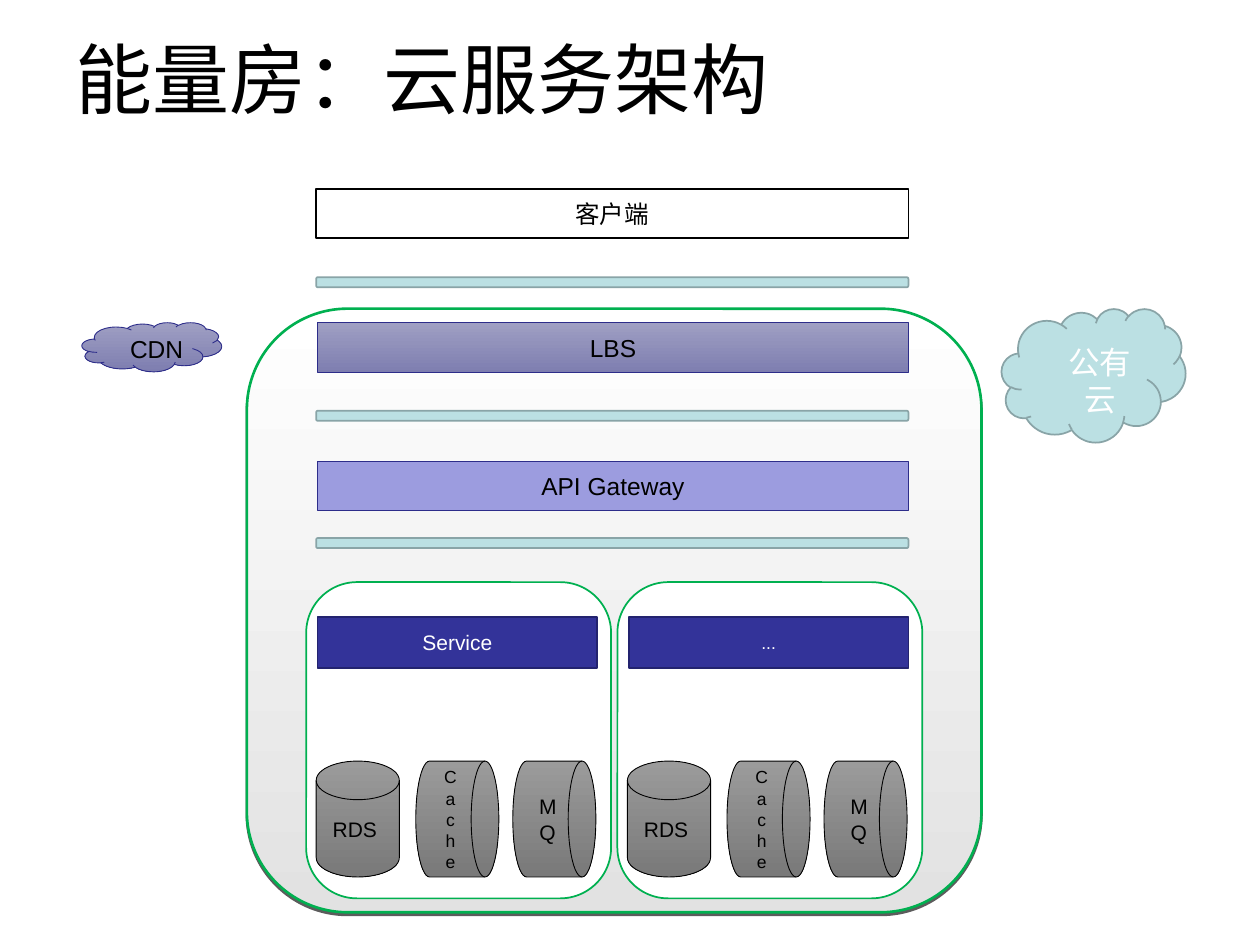
from dataclasses import dataclass
from typing import Optional

from lxml import etree
from pptx import Presentation
from pptx.dml.color import RGBColor
from pptx.enum.shapes import MSO_SHAPE
from pptx.enum.text import MSO_ANCHOR, MSO_AUTO_SIZE, PP_ALIGN
from pptx.oxml.ns import qn
from pptx.util import Inches, Pt

PROCESS = MSO_SHAPE.FLOWCHART_PROCESS
ROUNDED = MSO_SHAPE.ROUNDED_RECTANGLE
PLATFORM = MSO_SHAPE.FLOWCHART_ALTERNATE_PROCESS
DISK = MSO_SHAPE.FLOWCHART_MAGNETIC_DISK
DRUM = MSO_SHAPE.FLOWCHART_DIRECT_ACCESS_STORAGE
CLOUD = MSO_SHAPE.CLOUD
CENTER = PP_ALIGN.CENTER
LEFT = PP_ALIGN.LEFT
MIDDLE = MSO_ANCHOR.MIDDLE
NO_AUTOFIT = MSO_AUTO_SIZE.NONE

BLACK = RGBColor(0x00, 0x00, 0x00)
WHITE = RGBColor(0xFF, 0xFF, 0xFF)
SILVER = RGBColor(0xE2, 0xE2, 0xE2)
GREEN = RGBColor(0x00, 0xB0, 0x50)
NAVY = RGBColor(0x33, 0x33, 0x99)
DARK_NAVY = RGBColor(0x23, 0x23, 0x6F)
INDIGO = RGBColor(0x2D, 0x2D, 0x8A)
LAVENDER = RGBColor(0x9C, 0x9C, 0xDF)
LIGHT_SLATE = RGBColor(0x9F, 0x9F, 0xC3)
SLATE = RGBColor(0x7E, 0x7E, 0xB0)
LIGHT_GRAY = RGBColor(0x9B, 0x9B, 0x9B)
GRAY = RGBColor(0x79, 0x79, 0x79)
AQUA = RGBColor(0xBB, 0xE0, 0xE3)
TEAL = RGBColor(0x89, 0xA4, 0xA7)

FONT = "Arial"
CLUSTER_STEP = 2.47


@dataclass(frozen=True)
class Style:
    top_color: RGBColor
    line_color: RGBColor
    line_width: float
    text_color: RGBColor = BLACK
    bottom_color: Optional[RGBColor] = None


@dataclass(frozen=True)
class Node:
    kind: int
    left: float
    top: float
    width: float
    height: float
    style: Style
    text: str = ""
    size: float = 14


PLATFORM_STYLE = Style(WHITE, GREEN, 1.5, bottom_color=SILVER)
FRAME_STYLE = Style(WHITE, GREEN, 1)
CLIENT_STYLE = Style(WHITE, BLACK, 1)
BUS_STYLE = Style(AQUA, TEAL, 1, WHITE)
BALANCER_STYLE = Style(LIGHT_SLATE, INDIGO, 0.5, bottom_color=SLATE)
GATEWAY_STYLE = Style(LAVENDER, INDIGO, 0.5)
SERVICE_STYLE = Style(NAVY, DARK_NAVY, 1, WHITE)
STORE_STYLE = Style(LIGHT_GRAY, BLACK, 0.5, bottom_color=GRAY)

LAYERS = [
    Node(PROCESS, 2.51, 1.5, 4.7, 0.39, CLIENT_STYLE, "客户端"),
    Node(PROCESS, 2.52, 2.56, 4.69, 0.4, BALANCER_STYLE, "LBS"),
    Node(PROCESS, 2.52, 3.66, 4.69, 0.39, GATEWAY_STYLE, "API Gateway"),
]
BUSES = [Node(ROUNDED, 2.51, top, 4.7, 0.08, BUS_STYLE) for top in (2.2, 3.26, 4.27)]
CLOUDS = [
    Node(CLOUD, 7.95, 2.45, 1.46, 1.06, BUS_STYLE, "公有云", 18),
    Node(CLOUD, 0.65, 2.56, 1.11, 0.39, BALANCER_STYLE, "CDN"),
]


def cluster(index: int, name: str, size: float) -> list[Node]:
    shift = index * CLUSTER_STEP
    stores = [(DISK, 2.51, "RDS ", 12), (DRUM, 3.3, "Cache", 10), (DRUM, 4.07, "MQ", 12)]
    return [
        Node(ROUNDED, 2.43 + shift, 4.62, 2.42, 2.51, FRAME_STYLE),
        Node(PROCESS, 2.52 + shift, 4.9, 2.22, 0.4, SERVICE_STYLE, name, size),
    ] + [
        Node(kind, left + shift, 6.04, 0.66, 0.92, STORE_STYLE, text, text_size)
        for kind, left, text, text_size in stores
    ]


def draw_node(page, node: Node):
    box = page.shapes.add_shape(
        node.kind, Inches(node.left), Inches(node.top), Inches(node.width), Inches(node.height)
    )
    style = node.style
    if style.bottom_color is None:
        box.fill.solid()
        box.fill.fore_color.rgb = style.top_color
    else:
        box.fill.gradient()
        box.fill.gradient_angle = 270
        for stop, position, color in zip(
            box.fill.gradient_stops, (0, 1), (style.top_color, style.bottom_color)
        ):
            stop.position = position
            stop.color.rgb = color
    box.line.color.rgb = style.line_color
    box.line.width = Pt(style.line_width)
    box.shadow.inherit = False
    if node.text:
        frame = box.text_frame
        frame.vertical_anchor = MIDDLE
        if node.kind == CLOUD:
            frame.margin_left = Inches(0.14 * node.width)
            frame.margin_top = Inches(0.12 * node.height)
            frame.margin_right = frame.margin_bottom = 0
        para = frame.paragraphs[0]
        para.text = node.text
        para.alignment = CENTER
        para.font.name = FONT
        para.font.size = Pt(node.size)
        para.font.color.rgb = style.text_color
    return box


def add_drop_shadow(box, distance: float, opacity: int) -> None:
    effects = box._element.spPr.find(qn("a:effectLst"))
    shadow = etree.SubElement(
        effects, qn("a:outerShdw"), blurRad="0", dist=str(Pt(distance)), dir="5400000", rotWithShape="0"
    )
    color = etree.SubElement(shadow, qn("a:srgbClr"), val=str(BLACK))
    etree.SubElement(color, qn("a:alpha"), val=str(opacity * 1000))


def draw_title(page, text: str) -> None:
    title = page.shapes.title
    title.left, title.top = Inches(0.5), Inches(-0.01)
    title.width, title.height = Inches(9), Inches(1.25)
    frame = title.text_frame
    frame.auto_size = NO_AUTOFIT
    frame.vertical_anchor = MIDDLE
    para = frame.paragraphs[0]
    para.text = text
    para.alignment = LEFT
    para.font.name = FONT
    para.font.size = Pt(44)
    para.font.color.rgb = BLACK


def main() -> None:
    deck = Presentation()
    deck.slide_width, deck.slide_height = Inches(10), Inches(7.5)
    page = deck.slides.add_slide(deck.slide_layouts[5])
    draw_title(page, "能量房：云服务架构")
    platform = draw_node(page, Node(PLATFORM, 1.96, 2.45, 5.83, 4.79, PLATFORM_STYLE))
    add_drop_shadow(platform, 1.5, 63)
    clusters = cluster(0, "Service", 12) + cluster(1, "...", 10)
    for node in clusters + BUSES + LAYERS + CLOUDS:
        draw_node(page, node)
    deck.save("out.pptx")


if __name__ == "__main__":
    main()
